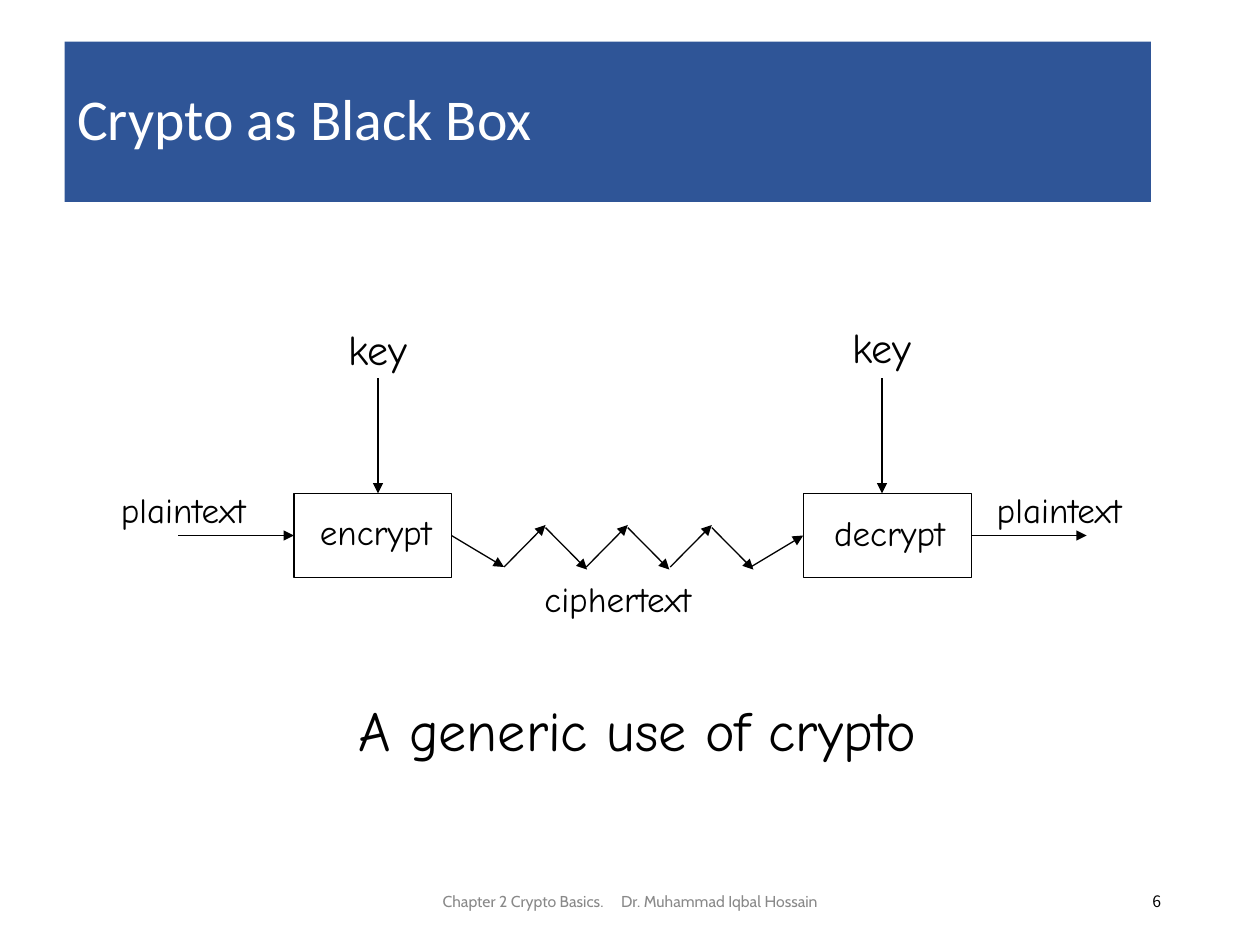
from dataclasses import dataclass

from lxml.etree import SubElement
from pptx import Presentation
from pptx.dml.color import RGBColor as Color
from pptx.enum.shapes import MSO_CONNECTOR as Connector, MSO_SHAPE as Shape
from pptx.enum.text import MSO_ANCHOR as Anchor, MSO_AUTO_SIZE as AutoSize, PP_ALIGN as Align
from pptx.oxml.ns import qn
from pptx.util import Pt

LEFT, RIGHT = 1, 3


@dataclass(frozen=True)
class Theme:
    """Colours, fonts and type sizes of the slide."""
    ink: Color = Color(0x00, 0x00, 0x00)
    paper: Color = Color(0xFF, 0xFF, 0xFF)
    banner: Color = Color(0x2F, 0x55, 0x97)
    muted: Color = Color(0x89, 0x89, 0x89)
    title_font: str = "Calibri"
    label_font: str = "Comic Neue"
    footer_font: str = "Cabin"
    number_font: str = "Noto Sans CJK KR"
    title_size: float = 33
    caption_size: float = 32
    key_size: float = 24
    label_size: float = 20
    footer_size: float = 9
    stroke: float = 0.75


class Painter:
    """Draws styled elements on the current page."""

    def __init__(self, theme, page):
        """Keep the theme and the page."""
        self.theme = theme
        self.page = page

    def format_para(self, para, size, font, color, align=Align.LEFT):
        """Style every span of a paragraph."""
        para.alignment = align
        for span in para.runs:
            span.font.size = Pt(size)
            span.font.name = font
            span.font.color.rgb = color

    def title(self, text, left, top, width, height):
        """Turn the title placeholder into a filled banner."""
        theme, box = self.theme, self.page.shapes.title
        box.left, box.top, box.width, box.height = map(Pt, (left, top, width, height))
        box.fill.solid()
        box.fill.fore_color.rgb = theme.banner
        frame = box.text_frame
        frame.text = text
        frame.auto_size = AutoSize.NONE
        frame.vertical_anchor = Anchor.MIDDLE
        para = frame.paragraphs[0]
        para.line_spacing = 0.9
        self.format_para(para, theme.title_size, theme.title_font, theme.paper)

    def text_box(self, left, top, width, height):
        """Add an empty wrapping text box."""
        box = self.page.shapes.add_textbox(Pt(left), Pt(top), Pt(width), Pt(height))
        box.text_frame.word_wrap = True
        return box.text_frame

    def label(self, text, left, top, width, height, size, wrap=True):
        """Add a diagram label that grows with its text."""
        frame = self.text_box(left, top, width, height)
        frame.text = text
        frame.word_wrap = wrap
        frame.auto_size = AutoSize.SHAPE_TO_FIT_TEXT
        self.format_para(frame.paragraphs[0], size, self.theme.label_font, self.theme.ink)

    def footer(self, parts, left, width, font, color, align, gap=8.2):
        """Add footer parts separated by one widened space."""
        frame = self.text_box(left, 500.4, width, 28.8)
        frame.vertical_anchor = Anchor.MIDDLE
        para = frame.paragraphs[0]
        para.text = parts[0]
        for part in parts[1:]:
            space, span = para.add_run(), para.add_run()
            space.text, span.text = " ", part
            space.font._element.set("spc", str(round(gap * 100)))
        self.format_para(para, self.theme.footer_size, font, color, align)

    def process(self, left, top, width, height):
        """Add an outlined process rectangle."""
        box = self.page.shapes.add_shape(
            Shape.RECTANGLE, Pt(left), Pt(top), Pt(width), Pt(height))
        box.shadow.inherit = False
        box.fill.background()
        box.line.color.rgb = self.theme.ink
        box.line.width = Pt(self.theme.stroke)
        return box

    def arrow(self, start, end, source=None, target=None):
        """Add an arrow, joined to the right of source or the left of target."""
        line = self.page.shapes.add_connector(
            Connector.STRAIGHT, *map(Pt, (*start, *end)))
        line.line.color.rgb = self.theme.ink
        line.line.width = Pt(self.theme.stroke)
        SubElement(line.get_or_add_ln(), qn("a:tailEnd"), type="triangle")
        SubElement(line._element.spPr, qn("a:effectLst"))
        if source is not None:
            line.begin_connect(source, RIGHT)
        if target is not None:
            line.end_connect(target, LEFT)


def main():
    """Build the slide and save it."""
    deck = Presentation()
    deck.slide_width, deck.slide_height = Pt(720), Pt(540)
    theme = Theme()
    painter = Painter(theme, deck.slides.add_slide(deck.slide_layouts[5]))

    painter.title("Crypto as Black Box", 36.9, 23.8, 620.8, 91.6)
    painter.footer(["Chapter 2 Crypto Basics.", "Dr. Muhammad Iqbal Hossain"],
                   238.5, 243, theme.footer_font, theme.muted, Align.CENTER)
    painter.footer(["6"], 508.5, 162, theme.number_font, theme.ink, Align.RIGHT)

    encrypt = painter.process(168, 282, 90, 48)
    decrypt = painter.process(459, 282, 96, 48)
    for text, left, top, width in (
            ("plaintext", 62, 275.7, 102), ("plaintext", 562.5, 275.7, 102),
            ("ciphertext", 304, 326.5, 120)):
        painter.label(text, left, top, width, 31.5, theme.label_size)
    for left, top in ((192, 181.5), (480, 180)):
        painter.label("key", left, top, 66, 36, theme.key_size)
    for text, left, top in (("encrypt", 175.7, 288), ("decrypt", 469.5, 288.5)):
        painter.label(text, left, top, 82, 31.5, theme.label_size, wrap=False)
    painter.label("A generic use of crypto", 197.5, 394, 336, 46,
                  theme.caption_size, wrap=False)

    middle = 306
    painter.arrow((102, middle), (168, middle), target=encrypt)
    painter.arrow((555, middle), (621, middle), source=decrypt)
    for across in (216, 504):
        painter.arrow((across, 216), (across, 282))
    painter.arrow((258, middle), (288, 324), source=encrypt)
    painter.arrow((429, 324), (459, middle), target=decrypt)
    step = 23.75
    for left in (288, 335, 383):
        peak = left + step
        painter.arrow((left, 324), (peak, 300))
        painter.arrow((peak, 301.5), (peak + step, 325.5))

    deck.save("out.pptx")


if __name__ == "__main__":
    main()
